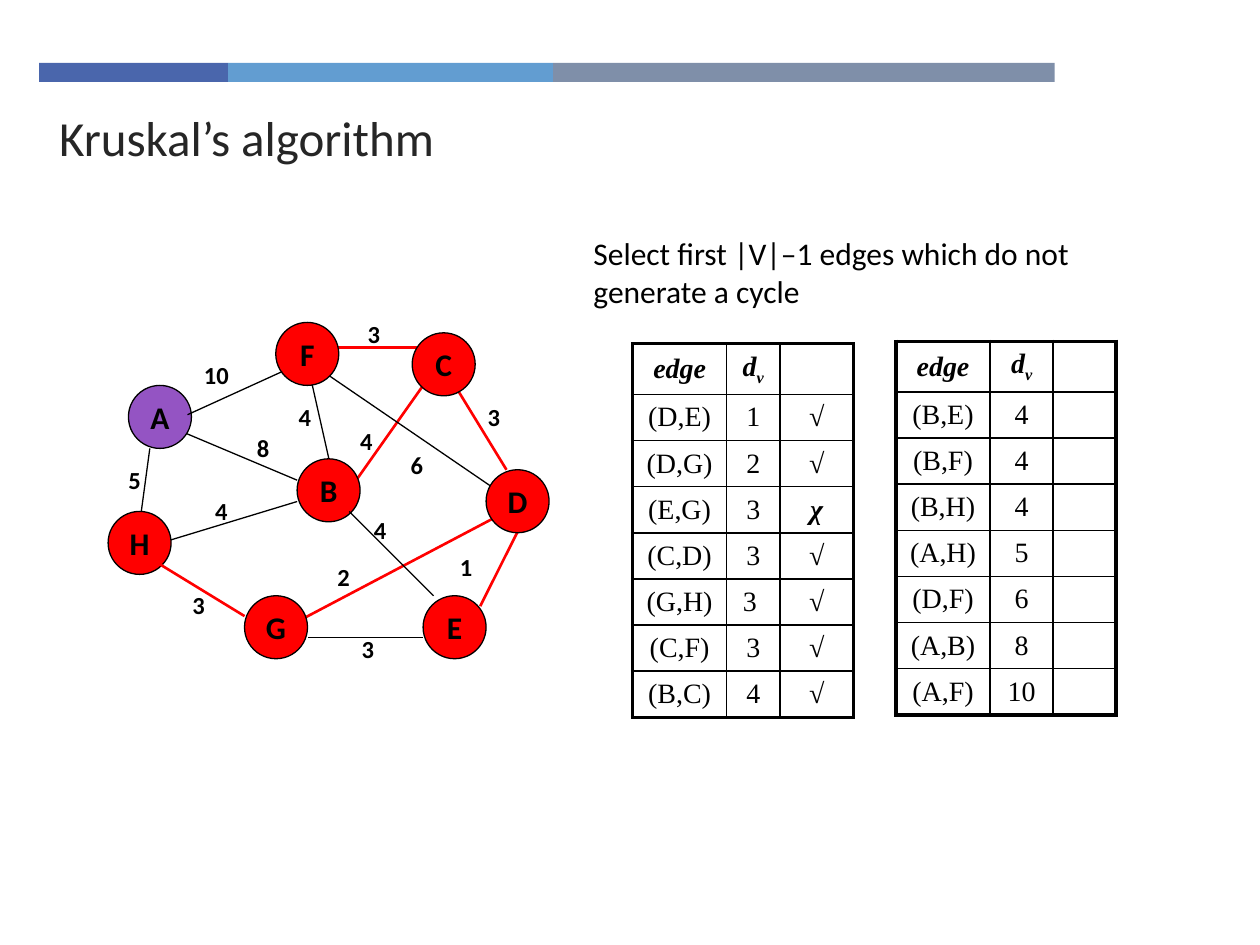
from lxml import etree
from pptx import Presentation
from pptx import util as u
from pptx.dml.color import RGBColor
from pptx.enum import shapes, text
from pptx.oxml import ns

BLACK, RED, PURPLE = "000000", "FF0000", "9454C3"
BAR = [(0.79, 3.81, "4A66AC"), (4.6, 6.55, "629DD1"), (11.15, 10.11, "7F8FA9")]
NODE_SIZE = 1.27
NODES = [
    ("A", 2.59, 7.77, PURPLE), ("H", 2.18, 10.31, RED),
    ("B", 5.99, 9.25, RED), ("F", 5.56, 6.5, RED),
    ("E", 8.53, 12.01, RED), ("D", 9.8, 9.47, RED),
    ("C", 8.31, 6.71, RED), ("G", 4.93, 12.01, RED),
]
EDGES_BEHIND = [
    (10.74, 10.11, 9.68, 12.22, RED), (6.2, 7.34, 6.63, 9.25, BLACK),
    (7.04, 9.88, 8.53, 7.77, RED), (10.01, 9.88, 6.63, 7.57, BLACK),
    (3.23, 10.95, 5.99, 10.11, BLACK), (5.77, 12.65, 10.21, 10.31, RED),
    (2.82, 10.52, 3.02, 9.04, BLACK), (3.45, 8.61, 5.99, 9.68, BLACK),
    (6.73, 7.01, 8.43, 7.01, RED), (9.17, 7.77, 10.21, 9.47, RED),
]
EDGES_IN_FRONT = [
    (7.04, 10.31, 8.74, 12.01, BLACK), (8.53, 12.85, 6.2, 12.85, BLACK),
    (4.93, 12.42, 3.23, 11.38, RED), (3.78, 8.36, 5.69, 7.49, BLACK),
]
WEIGHTS = [
    ("5", 2.34, 9.25), ("1", 9.02, 11.0), ("3", 7.04, 12.65),
    ("2", 6.55, 11.2), ("4", 7.29, 10.26), ("6", 8.03, 8.94),
    ("3", 9.58, 7.98), ("4", 7.01, 8.46), ("3", 7.16, 6.3),
    ("4", 5.77, 7.98), ("8", 4.93, 8.61), ("4", 4.09, 9.88),
    ("3", 3.63, 11.76), ("10", 3.86, 7.14),
]
CHOSEN = [
    ("(D,E)", "1", "√"), ("(D,G)", "2", "√"), ("(E,G)", "3", "χ"),
    ("(C,D)", "3", "√"), ("(G,H)", "3 ", "√"), ("(C,F)", "3", "√"),
    ("(B,C)", "4", "√"),
]
REMAINING = [
    ("(B,E)", "4", ""), ("(B,F)", "4", ""), ("(B,H)", "4", ""),
    ("(A,H)", "5", ""), ("(D,F)", "6", ""), ("(A,B)", "8", ""),
    ("(A,F)", "10", ""),
]


def color(value):
    """Turn a hex string into a colour."""
    return RGBColor.from_string(value)


def add_run(paragraph, content, size, font="Calibri", fill=BLACK, bold=False, italic=False):
    """Append a formatted run to the paragraph."""
    run = paragraph.add_run()
    run.text = content
    run.font.size = u.Pt(size)
    run.font.name = font
    run.font.color.rgb = color(fill)
    run.font.bold = bold
    run.font.italic = italic
    return run


def place(shape, left, top, width, height):
    """Move and size a shape in centimetres."""
    shape.left, shape.top = u.Cm(left), u.Cm(top)
    shape.width, shape.height = u.Cm(width), u.Cm(height)


def fill_placeholder(placeholder, box, content, size, fill, anchor):
    """Place a placeholder and give it one left-aligned, unbulleted line of text."""
    place(placeholder, *box)
    frame = placeholder.text_frame
    frame.auto_size = text.MSO_AUTO_SIZE.NONE
    frame.vertical_anchor = anchor
    paragraph = frame.paragraphs[0]
    paragraph.alignment = text.PP_ALIGN.LEFT
    paragraph.space_before = u.Pt(0)
    properties = paragraph._p.get_or_add_pPr()
    properties.set("marL", "0")
    properties.set("indent", "0")
    etree.SubElement(properties, ns.qn("a:buNone"))
    add_run(paragraph, content, size, fill=fill)


def add_solid(slide, kind, left, top, width, height, fill):
    """Add a filled preset shape without line or shadow."""
    shape = slide.shapes.add_shape(kind, u.Cm(left), u.Cm(top), u.Cm(width), u.Cm(height))
    shape.shadow.inherit = False
    shape.fill.solid()
    shape.fill.fore_color.rgb = color(fill)
    shape.line.fill.background()
    return shape


def add_node(slide, name, left, top, fill):
    """Add a named graph vertex."""
    shape = add_solid(slide, shapes.MSO_SHAPE.OVAL, left, top, NODE_SIZE, NODE_SIZE, fill)
    shape.line.color.rgb = color(BLACK)
    shape.line.width = u.Pt(0.75)
    frame = shape.text_frame
    frame.word_wrap = False
    frame.vertical_anchor = text.MSO_ANCHOR.MIDDLE
    paragraph = frame.paragraphs[0]
    paragraph.alignment = text.PP_ALIGN.CENTER
    add_run(paragraph, name, 18, bold=True)


def add_edge(slide, x1, y1, x2, y2, stroke):
    """Add a graph edge, thicker when it belongs to the tree."""
    edge = slide.shapes.add_connector(
        shapes.MSO_CONNECTOR.STRAIGHT, u.Cm(x1), u.Cm(y1), u.Cm(x2), u.Cm(y2))
    edge.line.color.rgb = color(stroke)
    edge.line.width = u.Pt(1.5 if stroke == RED else 0.75)
    etree.SubElement(edge._element.spPr, ns.qn("a:effectLst"))


def add_weight(slide, value, left, top):
    """Add the weight label of an edge."""
    box = slide.shapes.add_textbox(u.Cm(left), u.Cm(top), u.Cm(1.32 if len(value) > 1 else 0.84), u.Cm(0.84))
    box.text_frame.word_wrap = True
    add_run(box.text_frame.paragraphs[0], value, 14, bold=True)


def set_borders(cell, widths):
    """Draw black cell borders with the given widths in points."""
    properties = cell._tc.get_or_add_tcPr()
    for side, width in widths.items():
        line = etree.SubElement(properties, ns.qn(f"a:ln{side}"), w=str(u.Pt(width)))
        solid = etree.SubElement(line, ns.qn("a:solidFill"))
        etree.SubElement(solid, ns.qn("a:srgbClr"), val=BLACK)


def add_edge_table(slide, left, top, widths, rows):
    """Add a table of edges with their weights and verdicts."""
    rows = [("edge", "dv", "")] + rows
    frame = slide.shapes.add_table(
        len(rows), len(widths), u.Cm(left), u.Cm(top), u.Cm(sum(widths)), u.Cm(7.53))
    table = frame.table
    table.first_row = table.horz_banding = False
    for column, width in zip(table.columns, widths):
        column.width = u.Cm(width)
    last_row, last_column = len(rows) - 1, len(widths) - 1
    for r, values in enumerate(rows):
        table.rows[r].height = u.Cm(0.93 if r else 1.02)
        for c, value in enumerate(values):
            cell = table.cell(r, c)
            outer = {"L": c == 0, "R": c == last_column, "T": r == 0, "B": r == last_row}
            set_borders(cell, {side: 2.25 if edge else 1 for side, edge in outer.items()})
            cell.fill.background()
            cell.margin_top = cell.margin_bottom = u.Cm(0.06)
            cell.vertical_anchor = text.MSO_ANCHOR.MIDDLE
            paragraph = cell.text_frame.paragraphs[0]
            paragraph.alignment = text.PP_ALIGN.CENTER
            strong = r == 0 or c == last_column
            for part in value if value == "dv" else [value] if value else []:
                run = add_run(paragraph, part, 16, "Times New Roman", bold=strong, italic=strong)
                if part == "v":
                    run.font._element.set("baseline", "-25000")


def main():
    """Build the slide on Kruskal's algorithm."""
    presentation = Presentation()
    presentation.slide_width, presentation.slide_height = u.Cm(25.4), u.Cm(19.05)
    slide = presentation.slides.add_slide(presentation.slide_layouts[1])
    for left, width, fill in BAR:
        add_solid(slide, shapes.MSO_SHAPE.RECTANGLE, left, 1.27, width, 0.38, fill)
    title, body = slide.placeholders
    fill_placeholder(title, (0.94, 2.08, 18.19, 1.37), "Kruskal’s algorithm",
                     28, "262626", text.MSO_ANCHOR.MIDDLE)
    fill_placeholder(body, (11.71, 4.6, 11.23, 1.96),
                     "Select first |V|–1 edges which do not generate a cycle",
                     18, BLACK, text.MSO_ANCHOR.TOP)
    for edge in EDGES_BEHIND:
        add_edge(slide, *edge)
    for node in NODES:
        add_node(slide, *node)
    for edge in EDGES_IN_FRONT:
        add_edge(slide, *edge)
    for weight in WEIGHTS:
        add_weight(slide, *weight)
    add_edge_table(slide, 12.75, 6.93, (1.9, 1.07, 1.48), CHOSEN)
    add_edge_table(slide, 18.06, 6.88, (1.9, 1.27, 1.27), REMAINING)
    presentation.save("out.pptx")


if __name__ == "__main__":
    main()
